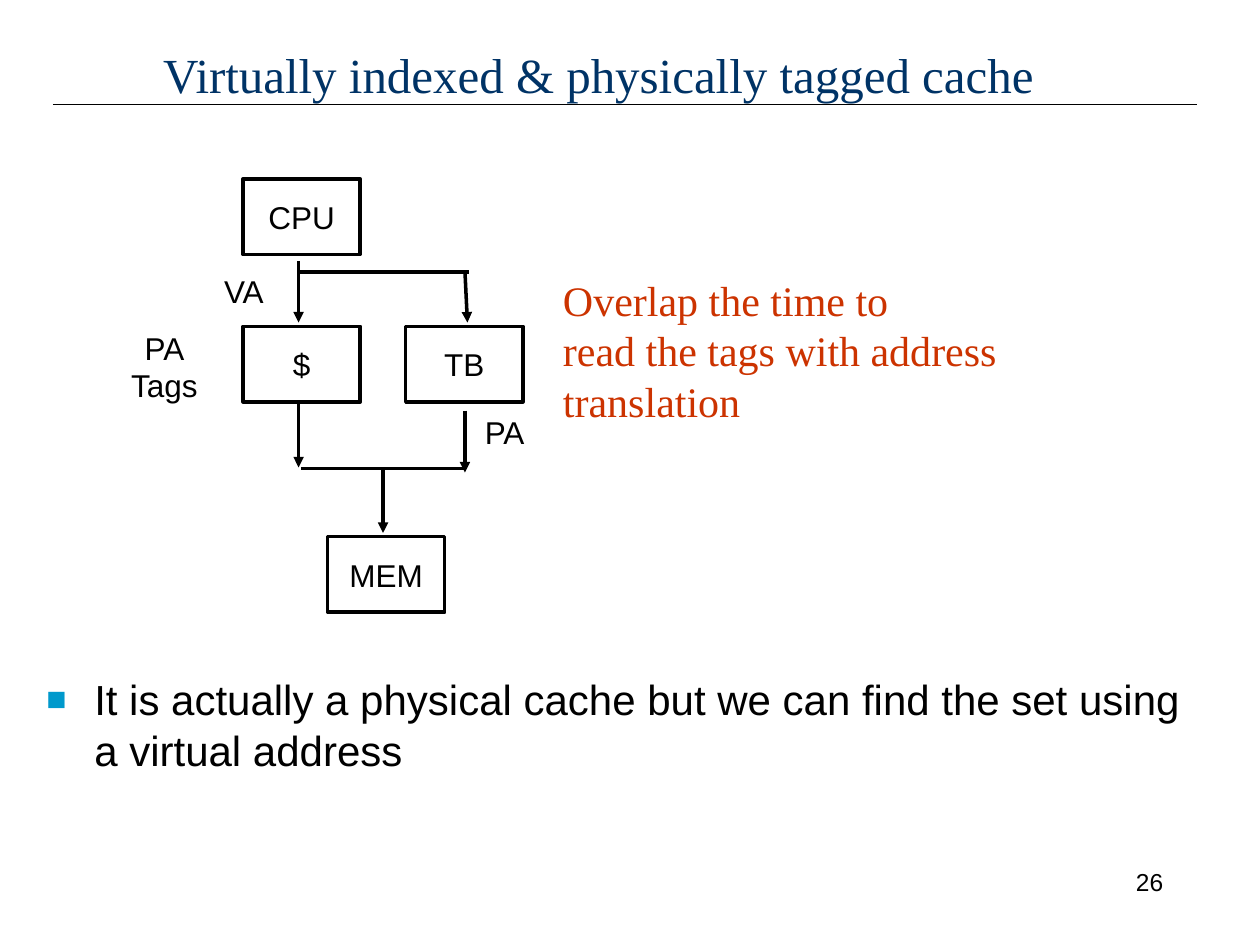
from lxml import etree
from pptx import Presentation
from pptx.dml.color import RGBColor
from pptx.enum import shapes, text
from pptx.oxml.ns import qn
from pptx.util import Inches, Pt

THEME = {
    "sans": "Arial", "serif": "Times New Roman",
    "ink": "000000", "paper": "FFFFFF", "title": "003366",
    "accent": "CC3300", "bullet": "0099CC",
    "title_size": 28, "body_size": 24, "label_size": 18, "number_size": 14,
    "rule_width": 0.75, "line_width": 2,
}
LEFT, CENTER, RIGHT = text.PP_ALIGN.LEFT, text.PP_ALIGN.CENTER, text.PP_ALIGN.RIGHT

# Content: lines of text, (left, top, width, height)
TITLE = ["Virtually indexed & physically tagged cache"], (0.5, 0.17, 8.5, 0.83)
BODY = ["It is actually a physical cache but we can find the set using a virtual address"], (0.27, 5.3, 9.45, 2.1)
REMARK = ["Overlap the time to", "read the tags with address translation"], (4.37, 2.13, 5.13, 0.9)
NUMBER = ["26"], (7.25, 6.83, 2.08, 0.5)
LABELS = [
    (["VA"], (1.68, 2.11, 0.53, 0.4), LEFT),
    (["PA", "Tags"], (0.93, 2.56, 0.75, 0.7), CENTER),
    (["PA"], (3.75, 3.23, 0.53, 0.4), LEFT),
]

# Diagram: block name, left, top; wires as (start, end)
BLOCK_SIZE = (0.93, 0.6)
BLOCKS = [("CPU", 1.93, 1.42), ("$", 1.93, 2.59), ("TB", 3.22, 2.59), ("MEM", 2.6, 4.26)]
ARROWS = [
    ((2.37, 2.07), (2.37, 2.56)),
    ((2.37, 3.21), (2.37, 3.71)),
    ((3.04, 3.73), (3.04, 4.23)),
    ((3.69, 2.15), (3.71, 2.56)),
    ((3.69, 3.26), (3.69, 3.75)),
]
BUSES = [((3.72, 2.16), (2.36, 2.16)), ((2.39, 3.72), (3.69, 3.72))]
RULE = ((0.42, 0.83), (9.5, 0.83))


def color(name):
    return RGBColor.from_string(THEME[name])


def write(shape, lines, size, font="sans", ink="ink", align=LEFT, wrap=True, middle=False):
    frame = shape.text_frame
    frame.word_wrap = wrap
    frame.vertical_anchor = text.MSO_ANCHOR.MIDDLE if middle else text.MSO_ANCHOR.TOP
    frame.text = "\n".join(lines)
    for para in frame.paragraphs:
        para.alignment = align
        para.font.name = THEME[font]
        para.font.size = Pt(THEME[size])
        para.font.color.rgb = color(ink)


def add_text(page, lines, place, size, **style):
    box = page.shapes.add_textbox(*map(Inches, place))
    write(box, lines, size, **style)
    return box


def add_bullet(para):
    props = para._p.get_or_add_pPr()
    props.set("marL", str(Inches(0.38)))
    props.set("indent", str(-Inches(0.38)))
    marks = []
    for tag, attributes in [("buClr", {}), ("buSzPct", {"val": "80000"}),
                            ("buFont", {"typeface": THEME["sans"]}), ("buChar", {"char": "■"})]:
        marks.append(etree.Element(qn("a:" + tag), attributes))
    etree.SubElement(marks[0], qn("a:srgbClr"), val=THEME["bullet"])
    for position, mark in enumerate(marks):
        props.insert(position, mark)


def add_block(page, name, left, top):
    block = page.shapes.add_shape(shapes.MSO_SHAPE.RECTANGLE, *map(Inches, (left, top, *BLOCK_SIZE)))
    block.shadow.inherit = False
    block.fill.solid()
    block.fill.fore_color.rgb = color("paper")
    block.line.color.rgb = color("ink")
    block.line.width = Pt(THEME["line_width"])
    write(block, [name], "label_size", align=CENTER, wrap=False, middle=True)


def add_wire(page, start, end, width="line_width", arrow=False):
    wire = page.shapes.add_connector(shapes.MSO_CONNECTOR.STRAIGHT, *map(Inches, start + end))
    wire.line.color.rgb = color("ink")
    wire.line.width = Pt(THEME[width])
    if arrow:
        etree.SubElement(wire.line._get_or_add_ln(), qn("a:tailEnd"), type="triangle")
    etree.SubElement(wire._element.spPr, qn("a:effectLst"))


def main():
    deck = Presentation()
    deck.slide_width, deck.slide_height = Inches(10), Inches(7.5)
    page = deck.slides.add_slide(deck.slide_layouts[6])

    # Frame of the page
    add_wire(page, *RULE, width="rule_width")
    add_text(page, *NUMBER, "number_size", align=RIGHT)
    add_text(page, *TITLE, "title_size", font="serif", ink="title", align=CENTER, middle=True)

    # Bulleted conclusion
    body = add_text(page, *BODY, "body_size")
    add_bullet(body.text_frame.paragraphs[0])

    # Cache diagram
    for block in BLOCKS:
        add_block(page, *block)
    for start, end in ARROWS:
        add_wire(page, start, end, arrow=True)
    for start, end in BUSES:
        add_wire(page, start, end)
    for lines, place, align in LABELS:
        add_text(page, lines, place, "label_size", align=align, wrap=False)

    # Remark beside the diagram
    add_text(page, *REMARK, "body_size", font="serif", ink="accent", wrap=False)

    deck.save("out.pptx")


if __name__ == "__main__":
    main()
